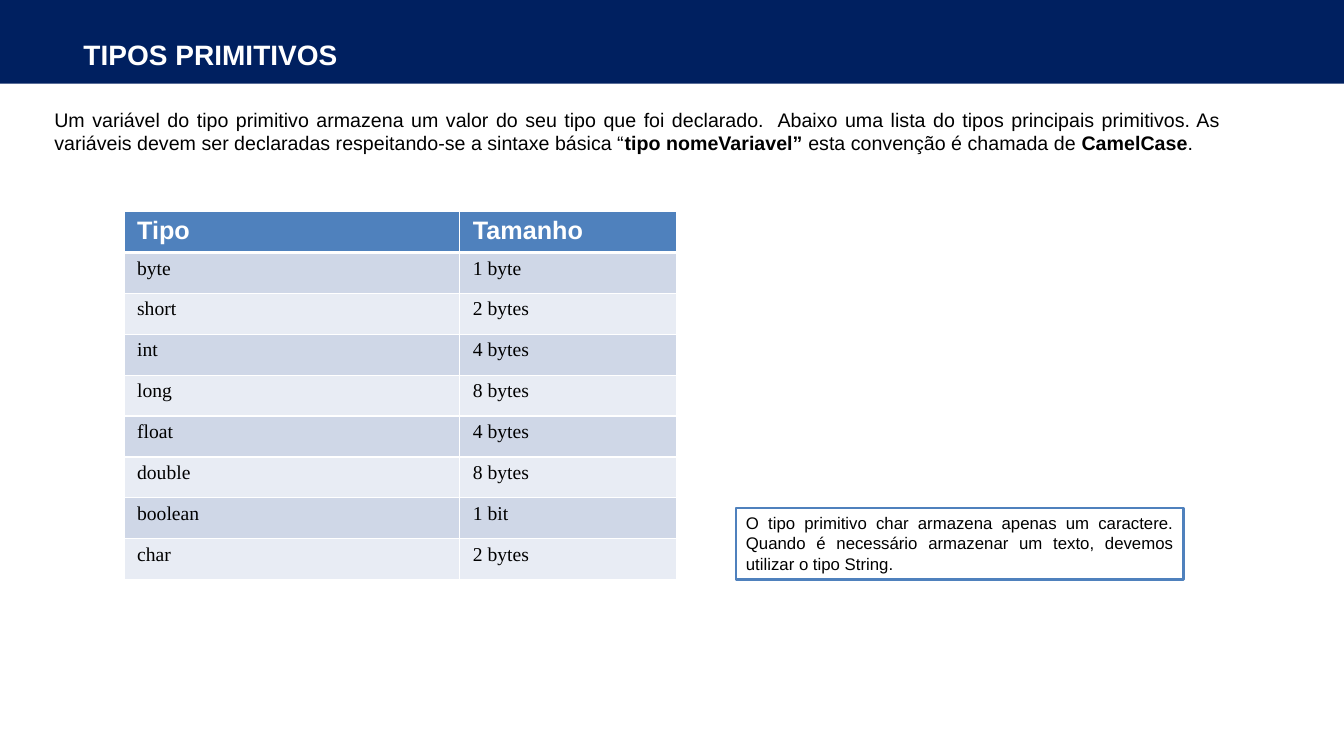
from pptx import Presentation
from pptx.dml.color import RGBColor
from pptx.enum.shapes import MSO_SHAPE as Shape
from pptx.enum.text import MSO_ANCHOR as Anchor, MSO_AUTO_SIZE as AutoSize, PP_ALIGN as Align
from pptx.oxml import parse_xml
from pptx.oxml.ns import nsdecls
from pptx.util import Inches, Pt

NAVY, BLUE, WHITE, BLACK = "002060", "4F81BD", "FFFFFF", "000000"
BANDS = ("CFD7E7", "E8ECF4")
TYPES = [
    ("byte", "1 byte"),
    ("short", "2 bytes"),
    ("int", "4 bytes"),
    ("long", "8 bytes"),
    ("float", "4 bytes"),
    ("double", "8 bytes"),
    ("boolean", "1 bit"),
    ("char", "2 bytes"),
]


def color(value):
    return RGBColor.from_string(value)


class TypesSlide:
    """Builds the slide on primitive types, with one method for each kind of element."""

    body = {"name": "Arial", "size": Pt(14), "bold": False}
    heading = {"name": "Arial", "size": Pt(20), "bold": True}
    note = {"name": "Arial", "size": Pt(12), "bold": False}
    header_cell = {"name": "Arial", "size": Pt(18), "bold": True}
    value_cell = {"name": "Times New Roman", "size": Pt(14), "bold": False}

    def __init__(self, deck):
        self.page = deck.slides.add_slide(deck.slide_layouts[6])

    def add_spans(self, frame, spans, style, ink=BLACK, align=Align.LEFT):
        para = frame.paragraphs[0]
        para.alignment = align
        for words, changes in spans:
            span = para.add_run()
            span.text = words
            for name, value in {**style, **changes}.items():
                setattr(span.font, name, value)
            span.font.color.rgb = color(ink)

    def rectangle(self, place, fill, line=None):
        box = self.page.shapes.add_shape(Shape.RECTANGLE, *map(Inches, place))
        box.shadow.inherit = False
        box.fill.solid()
        box.fill.fore_color.rgb = color(fill)
        if line:
            box.line.color.rgb = color(line)
            box.line.width = Pt(2)
        else:
            box.line.fill.background()
        return box

    def text(self, place, spans, style, ink=BLACK, align=Align.LEFT, **layout):
        box = self.page.shapes.add_textbox(*map(Inches, place))
        self.fit(box, spans, style, ink, align, **layout)

    def boxed_text(self, place, spans, style, fill, line, **layout):
        box = self.rectangle(place, fill, line)
        self.fit(box, spans, style, BLACK, Align.JUSTIFY, **layout)

    def fit(self, box, spans, style, ink, align, **layout):
        for name, value in {"word_wrap": True, **layout}.items():
            setattr(box.text_frame, name, value)
        self.add_spans(box.text_frame, spans, style, ink, align)

    def borders(self, cell, top, bottom):
        properties = cell._tc.get_or_add_tcPr()
        for side, width in (("L", 1), ("R", 1), ("T", top), ("B", bottom)):
            properties.append(parse_xml(
                f'<a:ln{side} {nsdecls("a")} w="{Pt(width)}"><a:solidFill>'
                f'<a:srgbClr val="{WHITE}"/></a:solidFill></a:ln{side}>'))

    def table(self, place, widths, rows):
        grid = self.page.shapes.add_table(len(rows), len(widths), *map(Inches, place)).table
        for column, width in zip(grid.columns, widths):
            column.width = Inches(width)
        for r, row in enumerate(rows):
            for c, words in enumerate(row):
                cell = grid.cell(r, c)
                cell.margin_left = cell.margin_right = Inches(0.13)
                self.borders(cell, 3 if r == 1 else 1, 3 if r == 0 else 1)
                cell.fill.solid()
                cell.fill.fore_color.rgb = color(BANDS[(r - 1) % 2] if r else BLUE)
                style, ink = (self.value_cell, BLACK) if r else (self.header_cell, WHITE)
                self.add_spans(cell.text_frame, [(words, {})], style, ink)


def main():
    deck = Presentation()
    deck.slide_width, deck.slide_height = Inches(13.33), Inches(7.5)
    slide = TypesSlide(deck)
    slide.rectangle((-0.01, 0, 13.35, 0.83), NAVY)
    slide.text((0.73, 0.14, 12, 0.79), [("TIPOS PRIMITIVOS", {})], slide.heading, WHITE,
               vertical_anchor=Anchor.MIDDLE)
    slide.table((1.23, 2.1, 5.48, 3.65), (3.33, 2.15), [("Tipo", "Tamanho"), *TYPES])
    slide.boxed_text(
        (7.3, 5.04, 4.44, 0.71),
        [("O tipo primitivo char armazena apenas um caractere. Quando é necessário "
          "armazenar um texto, devemos utilizar o tipo String.", {})],
        slide.note, WHITE, BLUE,
        vertical_anchor=Anchor.TOP, auto_size=AutoSize.SHAPE_TO_FIT_TEXT)
    slide.text(
        (0.44, 1.02, 11.77, 0.57),
        [("Um variável do tipo primitivo armazena um valor do seu tipo que foi declarado.  "
          "Abaixo uma lista do tipos principais primitivos. As variáveis devem ser "
          "declaradas respeitando-se a sintaxe básica “", {}),
         ("tipo nomeVariavel”", {"bold": True}),
         (" esta convenção é chamada de ", {}),
         ("CamelCase", {"bold": True}),
         (".", {})],
        slide.body, align=Align.JUSTIFY, auto_size=AutoSize.SHAPE_TO_FIT_TEXT)
    deck.save("out.pptx")


if __name__ == "__main__":
    main()
